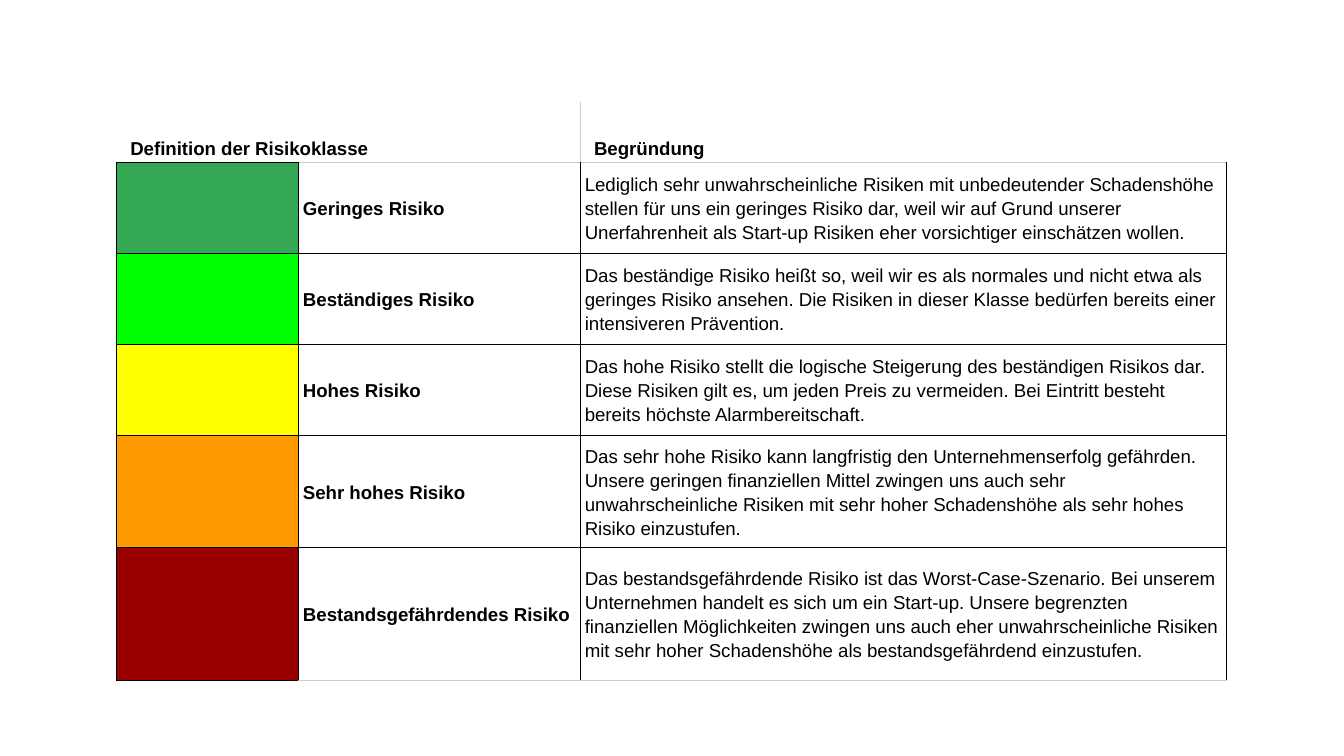
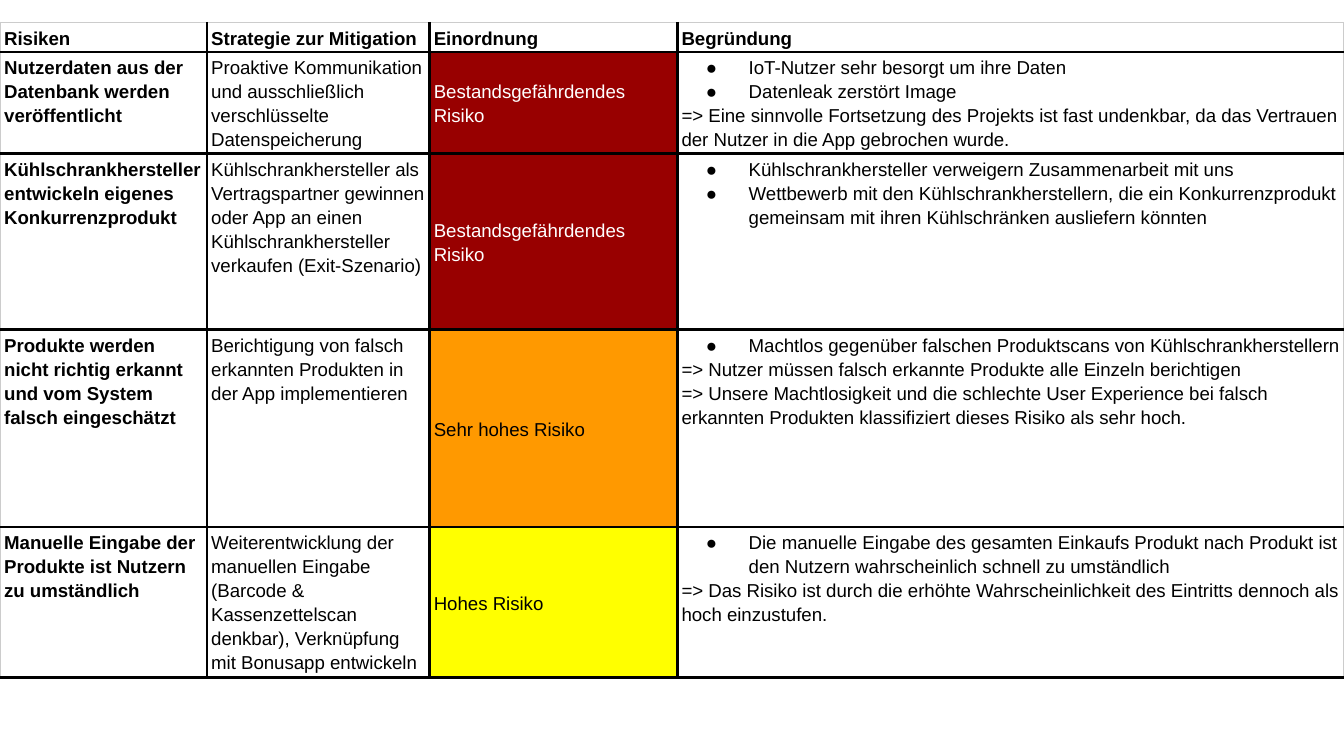
from dataclasses import dataclass, field
from typing import Optional

from lxml.etree import SubElement
from pptx import Presentation
from pptx.dml.color import RGBColor
from pptx.enum.text import MSO_ANCHOR as Anchor
from pptx.oxml import parse_xml
from pptx.oxml.ns import nsdecls, qn
from pptx.util import Pt

COLORS = {
    "black": "000000", "white": "FFFFFF", "grid": "CCCCCC",
    "Geringes Risiko": "34A853",
    "Beständiges Risiko": "00FF00",
    "Hohes Risiko": "FFFF00",
    "Sehr hohes Risiko": "FF9900",
    "Bestandsgefährdendes Risiko": "980000",
}
FONT = "Arial"
FONT_SIZE = Pt(10)
LINE_SPACING = 1.15
PAD_X, PAD_Y, HEADER_PAD_X = Pt(2.25), Pt(1.5), Pt(7.2)
THIN, THICK = 0.75, 1.5
SIDES = "LRTB"
BULLET = "●"
BULLET_LEFT, BULLET_HANG = Pt(36), Pt(22.9)

RISK_CLASSES = {
    "Geringes Risiko":
        "Lediglich sehr unwahrscheinliche Risiken mit unbedeutender Schadenshöhe stellen für uns "
        "ein geringes Risiko dar, weil wir auf Grund unserer Unerfahrenheit als Start-up Risiken "
        "eher vorsichtiger einschätzen wollen.",
    "Beständiges Risiko":
        "Das beständige Risiko heißt so, weil wir es als normales und nicht etwa als geringes "
        "Risiko ansehen. Die Risiken in dieser Klasse bedürfen bereits einer intensiveren "
        "Prävention.",
    "Hohes Risiko":
        "Das hohe Risiko stellt die logische Steigerung des beständigen Risikos dar. Diese "
        "Risiken gilt es, um jeden Preis zu vermeiden. Bei Eintritt besteht bereits höchste "
        "Alarmbereitschaft.",
    "Sehr hohes Risiko":
        "Das sehr hohe Risiko kann langfristig den Unternehmenserfolg gefährden. Unsere geringen "
        "finanziellen Mittel zwingen uns auch sehr unwahrscheinliche Risiken mit sehr hoher "
        "Schadenshöhe als sehr hohes Risiko einzustufen.",
    "Bestandsgefährdendes Risiko":
        "Das bestandsgefährdende Risiko ist das Worst-Case-Szenario. Bei unserem Unternehmen "
        "handelt es sich um ein Start-up. Unsere begrenzten finanziellen Möglichkeiten zwingen "
        "uns auch eher unwahrscheinliche Risiken mit sehr hoher Schadenshöhe als "
        "bestandsgefährdend einzustufen.",
}


@dataclass
class Risk:
    name: str
    strategy: str
    risk_class: str
    reasons: list[str]
    conclusions: list[str] = field(default_factory=list)


RISKS = [
    Risk("Nutzerdaten aus der Datenbank werden veröffentlicht",
         "Proaktive Kommunikation und ausschließlich verschlüsselte Datenspeicherung",
         "Bestandsgefährdendes Risiko",
         ["IoT-Nutzer sehr besorgt um ihre Daten", "Datenleak zerstört Image"],
         ["=> Eine sinnvolle Fortsetzung des Projekts ist fast undenkbar, da das Vertrauen der "
          "Nutzer in die App gebrochen wurde."]),
    Risk("Kühlschrankhersteller entwickeln eigenes Konkurrenzprodukt",
         "Kühlschrankhersteller als Vertragspartner gewinnen oder App an einen "
         "Kühlschrankhersteller verkaufen (Exit-Szenario)",
         "Bestandsgefährdendes Risiko",
         ["Kühlschrankhersteller verweigern Zusammenarbeit mit uns",
          "Wettbewerb mit den Kühlschrankherstellern, die ein Konkurrenzprodukt gemeinsam mit "
          "ihren Kühlschränken ausliefern könnten"]),
    Risk("Produkte werden nicht richtig erkannt und vom System falsch eingeschätzt",
         "Berichtigung von falsch erkannten Produkten in der App implementieren",
         "Sehr hohes Risiko",
         ["Machtlos gegenüber falschen Produktscans von Kühlschrankherstellern"],
         ["=> Nutzer müssen falsch erkannte Produkte alle Einzeln berichtigen",
          "=> Unsere Machtlosigkeit und die schlechte User Experience bei falsch erkannten "
          "Produkten klassifiziert dieses Risiko als sehr hoch."]),
    Risk("Manuelle Eingabe der Produkte ist Nutzern zu umständlich",
         "Weiterentwicklung der manuellen Eingabe (Barcode & Kassenzettelscan denkbar), "
         "Verknüpfung mit Bonusapp entwickeln",
         "Hohes Risiko",
         ["Die manuelle Eingabe des gesamten Einkaufs Produkt nach Produkt ist den Nutzern "
          "wahrscheinlich schnell zu umständlich"],
         ["=> Das Risiko ist durch die erhöhte Wahrscheinlichkeit des Eintritts dennoch als "
          "hoch einzustufen."]),
]


@dataclass
class Border:
    color: str = "black"
    width: float = THIN


GRID = Border("grid")


@dataclass
class Cell:
    borders: dict[str, Border]
    text: list[str] = field(default_factory=list)
    bullets: list[str] = field(default_factory=list)
    bold: bool = False
    color: str = "black"
    fill: Optional[str] = None
    anchor: Anchor = Anchor.TOP
    pad_x: int = PAD_X
    span: int = 1


def box(border: Border, **changed: Border) -> dict[str, Border]:
    """One border on all four sides, except for the sides named."""
    return dict.fromkeys(SIDES, border) | changed


def draw_borders(cell, borders: dict[str, Border]) -> None:
    tcPr = cell._tc.get_or_add_tcPr()
    for i, side in enumerate(SIDES):
        border = borders.get(side)
        if border:
            width = Pt(border.width)
            paint = f'<a:solidFill><a:srgbClr val="{COLORS[border.color]}"/></a:solidFill>'
        else:
            width, paint = 0, "<a:noFill/>"
        tag = f"a:ln{side}"
        tcPr.insert(i, parse_xml(f'<{tag} {nsdecls("a")} w="{width}">{paint}</{tag}>'))


def add_bullet(p) -> None:
    pPr = p._p.get_or_add_pPr()
    pPr.set("marL", str(BULLET_LEFT))
    pPr.set("indent", str(-BULLET_HANG))
    SubElement(SubElement(pPr, qn("a:buClr")), qn("a:srgbClr"), val=COLORS["black"])
    SubElement(pPr, qn("a:buFont"), typeface=FONT)
    SubElement(pPr, qn("a:buChar"), char=BULLET)


def write_text(tf, spec: Cell) -> None:
    lines = [(t, True) for t in spec.bullets] + [(t, False) for t in spec.text]
    for i, (text, bulleted) in enumerate(lines):
        p = tf.add_paragraph() if i else tf.paragraphs[0]
        p.line_spacing = LINE_SPACING
        if bulleted:
            add_bullet(p)
        r = p.add_run()
        r.text = text
        for key, value in {"name": FONT, "size": FONT_SIZE, "bold": spec.bold}.items():
            setattr(r.font, key, value)
        r.font.color.rgb = RGBColor.from_string(COLORS[spec.color])


def draw_cell(cell, spec: Cell) -> None:
    layout = {"margin_left": spec.pad_x, "margin_right": spec.pad_x,
              "margin_top": PAD_Y, "margin_bottom": PAD_Y, "vertical_anchor": spec.anchor}
    for key, value in layout.items():
        setattr(cell, key, value)
    if spec.fill:
        cell.fill.solid()
        cell.fill.fore_color.rgb = RGBColor.from_string(COLORS[spec.fill])
    else:
        cell.fill.background()
    draw_borders(cell, spec.borders)
    write_text(cell.text_frame, spec)


def draw_table(prs, left: float, top: float, widths: list[float], heights: list[float],
               rows: list[list[Cell]]) -> None:
    s = prs.slides.add_slide(prs.slide_layouts[6])
    table = s.shapes.add_table(len(heights), len(widths), Pt(left), Pt(top),
                               Pt(sum(widths)), Pt(sum(heights))).table
    table.first_row = table.horz_banding = False
    for column, width in zip(table.columns, widths):
        column.width = Pt(width)
    for i, (height, row) in enumerate(zip(heights, rows)):
        table.rows[i].height = Pt(height)
        col = 0
        for spec in row:
            first, last = table.cell(i, col), table.cell(i, col + spec.span - 1)
            if spec.span > 1:
                first.merge(last)
                last.fill.background()
                draw_borders(last, {k: b for k, b in spec.borders.items() if k != "L"})
            draw_cell(first, spec)
            col += spec.span


def class_rows() -> list[list[Cell]]:
    black = Border()
    header = {"bold": True, "anchor": Anchor.BOTTOM, "pad_x": HEADER_PAD_X, "span": 2}
    rows = [[Cell({"R": GRID, "B": black}, ["Definition der Risikoklasse"], **header),
             Cell({"L": GRID, "B": GRID}, ["Begründung"], **header)]]
    last = len(RISK_CLASSES) - 1
    for i, (name, reason) in enumerate(RISK_CLASSES.items()):
        borders = box(black, T=black if i else GRID, B=GRID if i == last else black)
        rows.append([Cell(box(black), fill=name),
                     Cell(borders, [name], bold=True, anchor=Anchor.MIDDLE),
                     Cell(borders, [reason], anchor=Anchor.MIDDLE, span=2)])
    return rows


def risk_rows() -> list[list[Cell]]:
    thick = Border(width=THICK)
    titles = ["Risiken", "Strategie zur Mitigation", "Einordnung", "Begründung"]
    left_edge, inner, right_edge = box(thick, L=GRID), box(thick), box(thick, R=GRID)
    edges = [left_edge, inner, inner, right_edge]
    rows = [[Cell(edge | {"T": GRID}, [title], bold=True, anchor=Anchor.BOTTOM)
             for title, edge in zip(titles, edges)]]
    for risk in RISKS:
        dark = risk.risk_class == "Bestandsgefährdendes Risiko"
        rows.append([Cell(left_edge, [risk.name], bold=True),
                     Cell(inner, [risk.strategy]),
                     Cell(inner, [risk.risk_class], fill=risk.risk_class,
                          color="white" if dark else "black", anchor=Anchor.MIDDLE),
                     Cell(right_edge, risk.conclusions, risk.reasons)])
    return rows


def main() -> None:
    prs = Presentation()
    prs.slide_width, prs.slide_height = Pt(720), Pt(405)
    draw_table(prs, 62.6, 54.6, [97.5, 151, 173.3, 172.8],
               [32.4, 48.75, 48.75, 48.75, 60, 71.3], class_rows())
    draw_table(prs, 0, 12, [110.9, 119.3, 132.7, 357.1],
               [16, 49.7, 94.3, 105.8, 80.6], risk_rows())
    prs.save("out.pptx")


if __name__ == "__main__":
    main()
